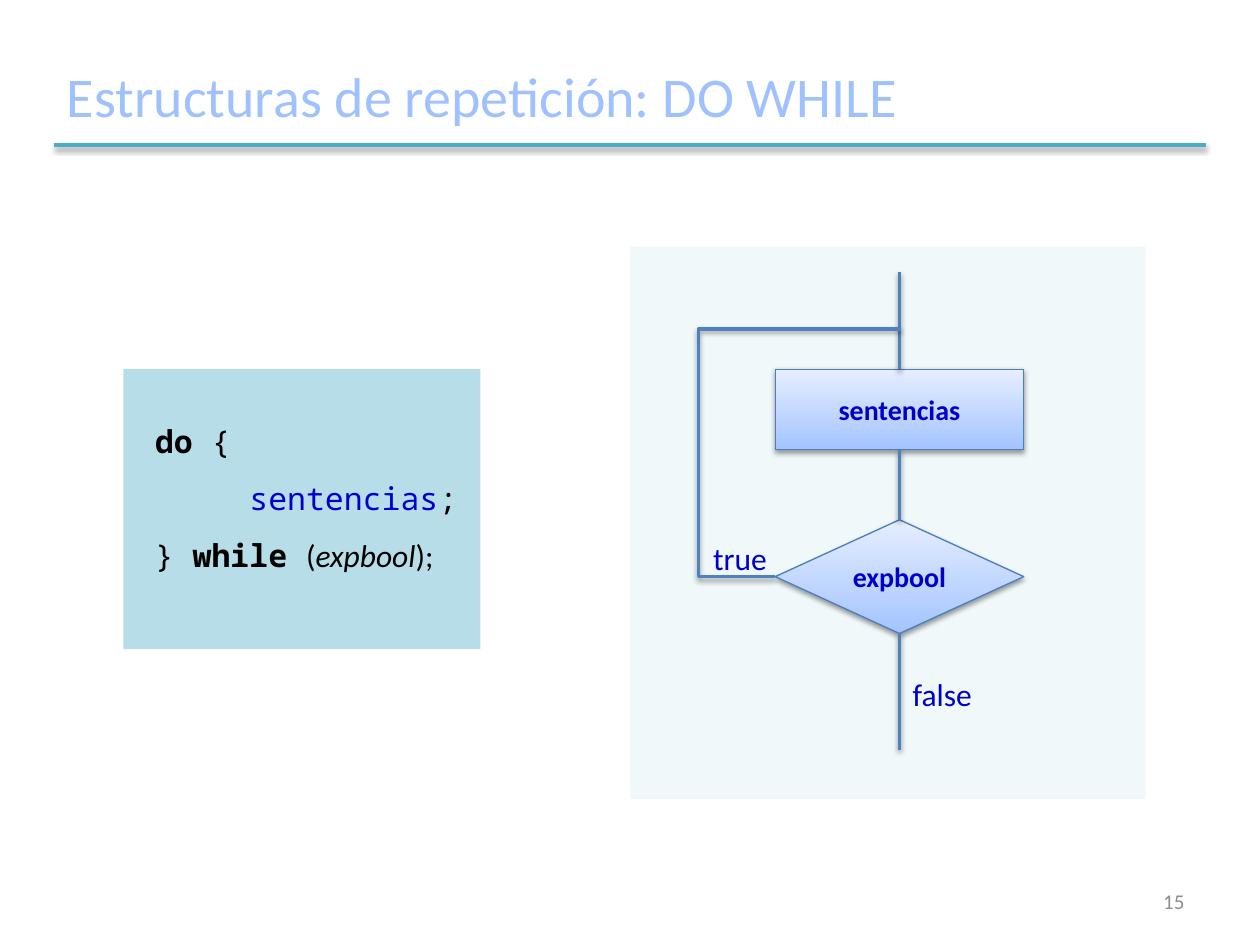
from lxml.etree import SubElement as Sub
from pptx import Presentation
from pptx.dml.color import RGBColor as Rgb
from pptx.enum.shapes import MSO_CONNECTOR as Link, MSO_SHAPE as Kind
from pptx.enum.text import MSO_ANCHOR as Anchor, PP_ALIGN as Align
from pptx.oxml.ns import qn
from pptx.util import Pt

HUES = {
    "title": "A0C1FF", "rule": "4BACC6", "flow": "4F81BD", "edge": "4B7EBC",
    "low": "A4C4FF", "high": "E6EEFF", "panel": "F0F8FA", "code": "B7DEE8",
    "blue": "0000CC", "black": "000000", "grey": "8C8C8C",
}
SANS, MONO = "Calibri", "Noto Sans Mono"
AXIS = 514  # centre line of the flow chart


def hue(name):
    return Rgb.from_string(HUES[name])


def style(item, look):
    for key, val in look.items():
        setattr(item, key, val)


def shade(item):
    """Give a shape or connector a soft shadow below."""
    root = Sub(item._element.spPr, qn("a:effectLst"))
    drop = Sub(root, qn("a:outerShdw"), blurRad=str(Pt(3.1)), dist=str(Pt(1.6)),
               dir="5400000", rotWithShape="0")
    tint = Sub(drop, qn("a:srgbClr"), val=HUES["black"])
    Sub(tint, qn("a:alpha"), val="38000")


def write(para, text, color, **look):
    run = para.add_run()
    run.text = text
    run.font.color.rgb = hue(color)
    style(run.font, {"name": SANS, "size": Pt(18), **look})


def label(slide, box, text, color, size=18, align=Align.LEFT):
    frame = slide.shapes.add_textbox(*map(Pt, box)).text_frame
    style(frame, {"word_wrap": True, "vertical_anchor": Anchor.MIDDLE,
                  "margin_left": 0, "margin_right": 0,
                  "margin_top": 0, "margin_bottom": 0})
    para = frame.paragraphs[0]
    para.alignment = align
    write(para, text, color, size=Pt(size))


def panel(slide, box, color):
    area = slide.shapes.add_shape(Kind.RECTANGLE, *map(Pt, box))
    area.shadow.inherit = False
    area.fill.solid()
    area.fill.fore_color.rgb = hue(color)
    area.line.fill.background()
    return area


def node(slide, kind, top, high, text):
    wide = 142
    step = slide.shapes.add_shape(
        kind, Pt(AXIS - wide / 2), Pt(top), Pt(wide), Pt(high))
    step.fill.gradient()
    step.fill.gradient_angle = 90
    for stop, name in zip(step.fill.gradient_stops, ("low", "high")):
        stop.color.rgb = hue(name)
    step.line.color.rgb = hue("edge")
    step.line.width = Pt(0.75)
    shade(step)
    step.text_frame.vertical_anchor = Anchor.MIDDLE
    para = step.text_frame.paragraphs[0]
    para.alignment = Align.CENTER
    write(para, text, "blue", size=Pt(16), bold=True)
    return step


def wire(slide, start, end, color="flow", kind=Link.STRAIGHT):
    line = slide.shapes.add_connector(kind, *map(Pt, (*start, *end)))
    line.line.color.rgb = hue(color)
    line.line.width = Pt(2)
    shade(line)
    return line


def loop(slide, start, end):
    """Bent line that runs left, up and back to the axis."""
    back = wire(slide, start, end, kind=Link.ELBOW)
    geom = back._element.spPr.find(qn("a:prstGeom"))
    geom.set("prst", "bentConnector4")
    marks = geom.find(qn("a:avLst"))
    if marks is None:
        marks = Sub(geom, qn("a:avLst"))
    for name, val in (("adj1", -61700), ("adj2", 100800)):
        Sub(marks, qn("a:gd"), name=name, fmla=f"val {val}")


def code(slide):
    area = panel(slide, (70.5, 211, 204, 160), "code")
    frame = area.text_frame
    style(frame, {"vertical_anchor": Anchor.TOP, "word_wrap": True,
                  "margin_left": Pt(18), "margin_top": Pt(19),
                  "margin_right": 0})
    mono = {"name": MONO}
    bold = {"name": MONO, "bold": True}
    rows = [
        (0, [("do ", "black", bold), ("{", "black", mono)]),
        (54, [("sentencias", "blue", mono), (";", "black", mono)]),
        (0, [("} ", "black", mono), ("while ", "black", bold),
             ("(", "black", {}), ("expbool", "black", {"italic": True}),
             (");", "black", {})]),
    ]
    for num, (left, runs) in enumerate(rows):
        para = frame.add_paragraph() if num else frame.paragraphs[0]
        style(para, {"alignment": Align.LEFT, "line_spacing": Pt(32.6)})
        para._p.get_or_add_pPr().set("marL", str(Pt(left)))
        for text, color, look in runs:
            write(para, text, color, **look)


def chart(slide):
    panel(slide, (360, 141, 294.5, 315.5), "panel")
    test = node(slide, Kind.DIAMOND, 297, 65, "expbool")
    body = node(slide, Kind.RECTANGLE, 211, 46, "sentencias")

    # Flow down the axis
    enter = wire(slide, (AXIS, 155.5), (AXIS, 211))
    enter.end_connect(body, 0)
    down = wire(slide, (AXIS, 257), (AXIS, 297))
    down.begin_connect(body, 2)
    down.end_connect(test, 0)
    leave = wire(slide, (AXIS, 362), (AXIS, 428.5))
    leave.begin_connect(test, 2)

    # Way back and branch names
    loop(slide, (443, 329.5), (AXIS, 189))
    label(slide, (407.5, 308, 36, 22), "true", "blue")
    label(slide, (521.5, 385.5, 45, 22), "false", "blue")


def main():
    deck = Presentation()
    style(deck, {"slide_width": Pt(720), "slide_height": Pt(540)})
    slide = deck.slides.add_slide(deck.slide_layouts[6])

    # Heading
    label(slide, (38.2, 26, 644, 57), "Estructuras de repetición: DO WHILE",
          "title", 32)
    wire(slide, (31, 83), (689, 83), "rule")

    # Content
    chart(slide)
    code(slide)

    # Page number
    label(slide, (516, 500.5, 160.8, 29), "15", "grey", 12, Align.RIGHT)
    deck.save("out.pptx")


if __name__ == "__main__":
    main()
